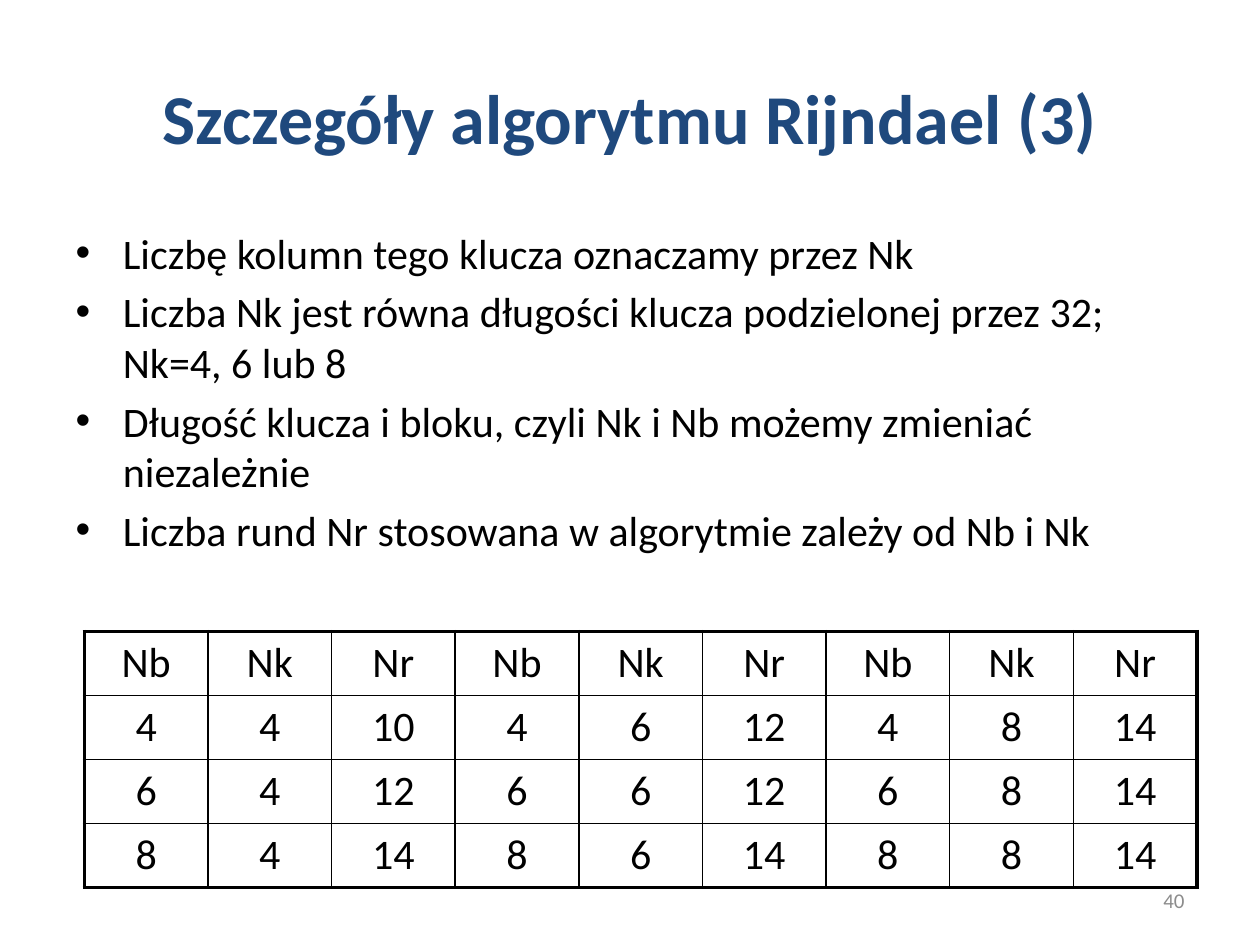
"""Build the slide on Rijndael key size and round counts."""
from lxml import etree
from pptx import Presentation, util as u
from pptx.dml.color import RGBColor
from pptx.enum import text as t
from pptx.oxml import ns

HUES = {"title": "1F497D", "ink": "000000", "page": "8C8C8C"}
POINTS = [
    "Liczbę kolumn tego klucza oznaczamy przez Nk",
    "Liczba Nk jest równa długości klucza podzielonej przez 32; Nk=4, 6 lub 8",
    "Długość klucza i bloku, czyli Nk i Nb możemy zmieniać niezależnie",
    "Liczba rund Nr stosowana w algorytmie zależy od Nb i Nk",
]
ROWS = [
    ["Nb", "Nk", "Nr"] * 3,
    [4, 4, 10, 4, 6, 12, 4, 8, 14],
    [6, 4, 12, 6, 6, 12, 6, 8, 14],
    [8, 4, 14, 8, 6, 14, 8, 8, 14],
]


def style(frame, size, hue, align=None, bold=False):
    for para in frame.paragraphs:
        para.alignment = align
        for run in para.runs:
            run.font.name = "Calibri"
            run.font.size = u.Pt(size)
            run.font.bold = bold
            run.font.color.rgb = RGBColor.from_string(HUES[hue])


def edge(cell, side, width):
    line = etree.SubElement(cell._tc.get_or_add_tcPr(), ns.qn(f"a:ln{side}"), w=str(u.Pt(width)))
    fill = etree.SubElement(line, ns.qn("a:solidFill"))
    etree.SubElement(fill, ns.qn("a:srgbClr"), val=HUES["ink"])


deck = Presentation()
deck.slide_width, deck.slide_height = u.Cm(25.4), u.Cm(19.05)
slide = deck.slides.add_slide(deck.slide_layouts[1])

title = slide.shapes.title
title.left, title.top, title.width, title.height = u.Cm(1.27), u.Cm(0.76), u.Cm(22.86), u.Cm(3.18)
title.text_frame.text = "Szczegóły algorytmu Rijndael (3)"
style(title.text_frame, 40, "title", t.PP_ALIGN.CENTER, True)

body = slide.placeholders[1]
body.left, body.top, body.width, body.height = u.Cm(1.27), u.Cm(4.45), u.Cm(22.63), u.Cm(7.29)
body.text_frame.text = "\n".join(POINTS)
body.text_frame.auto_size = t.MSO_AUTO_SIZE.NONE
style(body.text_frame, 24, "ink")

high, wide = len(ROWS), len(ROWS[0])
frame = slide.shapes.add_table(high, wide, u.Cm(1.7), u.Cm(12.73), u.Cm(22.43), u.Cm(1.29 * high))
table = frame.table
table.first_row = table.horz_banding = False
for y, row in enumerate(ROWS):
    for x, value in enumerate(row):
        cell = table.cell(y, x)
        cell.text_frame.text = str(value)
        style(cell.text_frame, 24, "ink", t.PP_ALIGN.CENTER)
        outer = {"L": x == 0, "R": x == wide - 1, "T": y == 0, "B": y == high - 1}
        for side, thick in outer.items():
            edge(cell, side, 2.25 if thick else 1)
        cell.fill.background()

page = slide.shapes.add_textbox(u.Cm(18.2), u.Cm(17.65), u.Cm(5.93), u.Cm(1.01))
page.text_frame.word_wrap = True
page.text_frame.vertical_anchor = t.MSO_ANCHOR.MIDDLE
page.text_frame.text = "40"
style(page.text_frame, 12, "page", t.PP_ALIGN.RIGHT)

deck.save("out.pptx")
